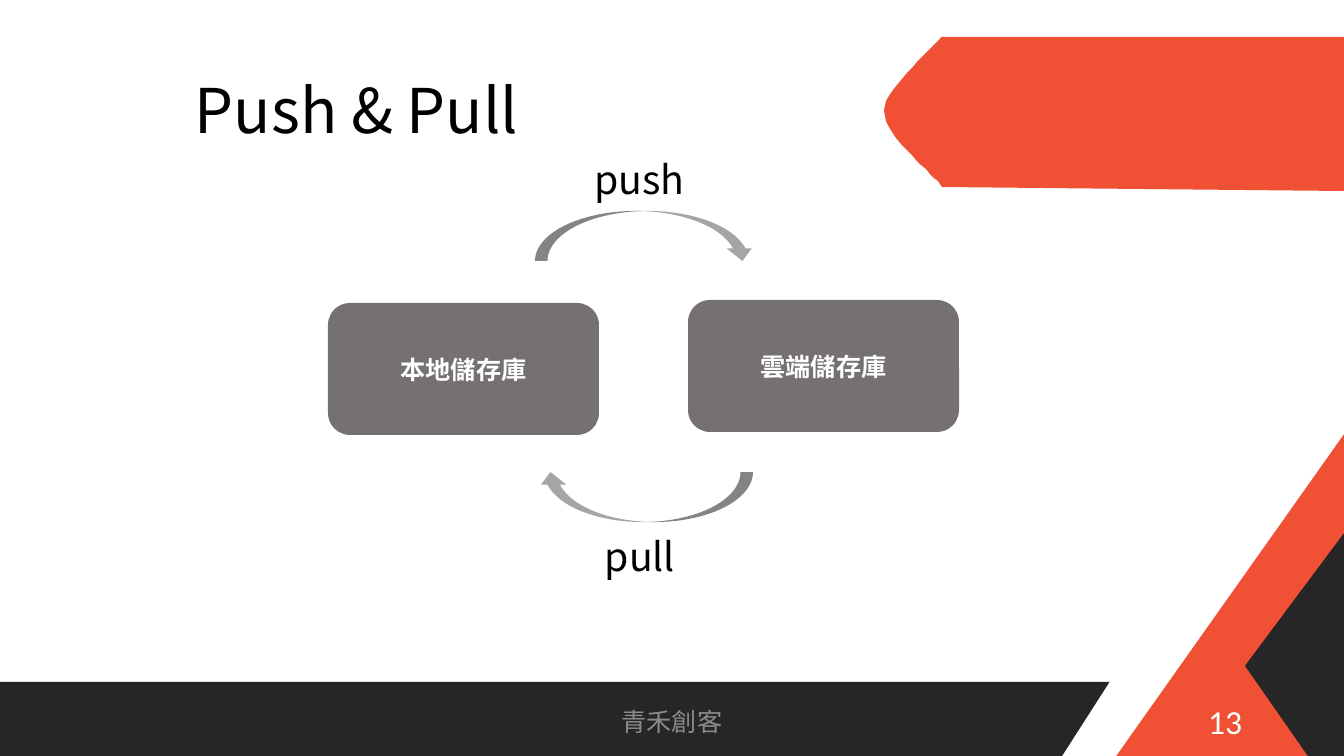
from pptx import Presentation
from pptx.dml.color import RGBColor
from pptx.enum.shapes import MSO_SHAPE as SHAPE
from pptx.enum.text import MSO_ANCHOR as ANCHOR, PP_ALIGN as ALIGN
from pptx.oxml.ns import qn
from pptx.util import Emu, Pt
from lxml import etree

PX = 914400 / 100.8
ORANGE = RGBColor(0xF0, 0x50, 0x33)
DARK = RGBColor(0x26, 0x26, 0x26)
BOX_GRAY = RGBColor(0x76, 0x71, 0x71)
ARROW_GRAY = RGBColor(0xA5, 0xA5, 0xA5)
FOOTER_GRAY = RGBColor(0x8C, 0x8C, 0x8C)
WHITE = RGBColor(0xFF, 0xFF, 0xFF)
BLACK = RGBColor(0, 0, 0)
SANS = "Noto Sans CJK SC"

prs = Presentation()
prs.slide_width, prs.slide_height = Emu(round(1344 * PX)), Emu(round(756 * PX))
s = prs.slides.add_slide(prs.slide_layouts[6])


def add_shape(kind, box, color, rotation=0):
    sp = s.shapes.add_shape(kind, *(Emu(round(v * PX)) for v in box))
    sp.shadow.inherit = False
    sp.fill.solid()
    sp.fill.fore_color.rgb = color
    sp.line.fill.background()
    sp.rotation = rotation
    return sp


def set_text(sp, text, size, color, align=ALIGN.LEFT, font=SANS, bold=False):
    tf = sp.text_frame
    tf.text = text
    tf.word_wrap = True
    tf.vertical_anchor = ANCHOR.MIDDLE
    p = tf.paragraphs[0]
    p.alignment = align
    r = p.runs[0]
    r.font.size, r.font.name, r.font.bold = Pt(size), font, bold
    r.font.color.rgb = color
    etree.SubElement(r.font._element, qn("a:ea"), typeface=font)


# Banner: its rounded left end is sampled from two Bezier curves
banner_curves = [
    [(942, 187), (936, 174), (884, 139), (884, 110)],
    [(884, 110), (884, 88), (939, 43), (941, 37)],
]
STEPS = 16
banner_points = [(1344, 37), (1344, 191), (942, 187)]
for curve in banner_curves:
    for step in range(1, STEPS + 1):
        t = step / STEPS
        weights = ((1 - t) ** 3, 3 * t * (1 - t) ** 2, 3 * t * t * (1 - t), t ** 3)
        banner_points.append(tuple(
            sum(w * pt[axis] for w, pt in zip(weights, curve)) for axis in (0, 1)))
builder = s.shapes.build_freeform(941, 37, scale=PX)
builder.add_line_segments(banner_points, close=True)
banner = builder.convert_to_shape()
banner.shadow.inherit = False
banner.fill.solid()
banner.fill.fore_color.rgb = ORANGE
banner.line.fill.background()

# Footer bar and corner
add_shape(SHAPE.RECTANGLE, (0, 682, 1120, 74), DARK)
footer_cut = add_shape(SHAPE.RIGHT_TRIANGLE, (1061, 666, 59, 92), WHITE)
footer_cut._element.spPr.find(qn("a:xfrm")).set("flipH", "1")
add_shape(SHAPE.RIGHT_TRIANGLE, (1067, 481, 325, 230), ORANGE, 270)
add_shape(SHAPE.RIGHT_TRIANGLE, (1148, 561, 225, 168), DARK, 270)
add_shape(SHAPE.ISOSCELES_TRIANGLE, (1153, 646, 156, 112), ORANGE)

# Repositories
for name, left, top in [("本地儲存庫", 328, 303), ("雲端儲存庫", 688, 300)]:
    repo = add_shape(SHAPE.ROUNDED_RECTANGLE, (left, top, 271, 132), BOX_GRAY)
    set_text(repo, name, 18, WHITE, ALIGN.CENTER, bold=True)

# Transfer arrows
add_shape(SHAPE.CURVED_DOWN_ARROW, (535, 211, 220, 50), ARROW_GRAY)
add_shape(SHAPE.CURVED_DOWN_ARROW, (538, 472, 215, 50), ARROW_GRAY, 180)

# Title, arrow labels, footer and slide number
labels = [
    ("Push & Pull", (185, 41, 1159, 146), 44, BLACK, ALIGN.LEFT, SANS),
    ("push", (579, 150, 121, 58), 28, BLACK, ALIGN.CENTER, SANS),
    ("pull", (590, 527, 100, 58), 28, BLACK, ALIGN.CENTER, SANS),
    ("13", (950, 701, 302, 40), 24, WHITE, ALIGN.RIGHT, "Calibri"),
    ("青禾創客", (445, 701, 454, 40), 18, FOOTER_GRAY, ALIGN.CENTER, SANS),
]
for text, box, size, color, align, font in labels:
    label = s.shapes.add_textbox(*(Emu(round(v * PX)) for v in box))
    set_text(label, text, size, color, align, font)
    if size == 44:
        label.text_frame.paragraphs[0].line_spacing = 0.9

prs.save("out.pptx")
